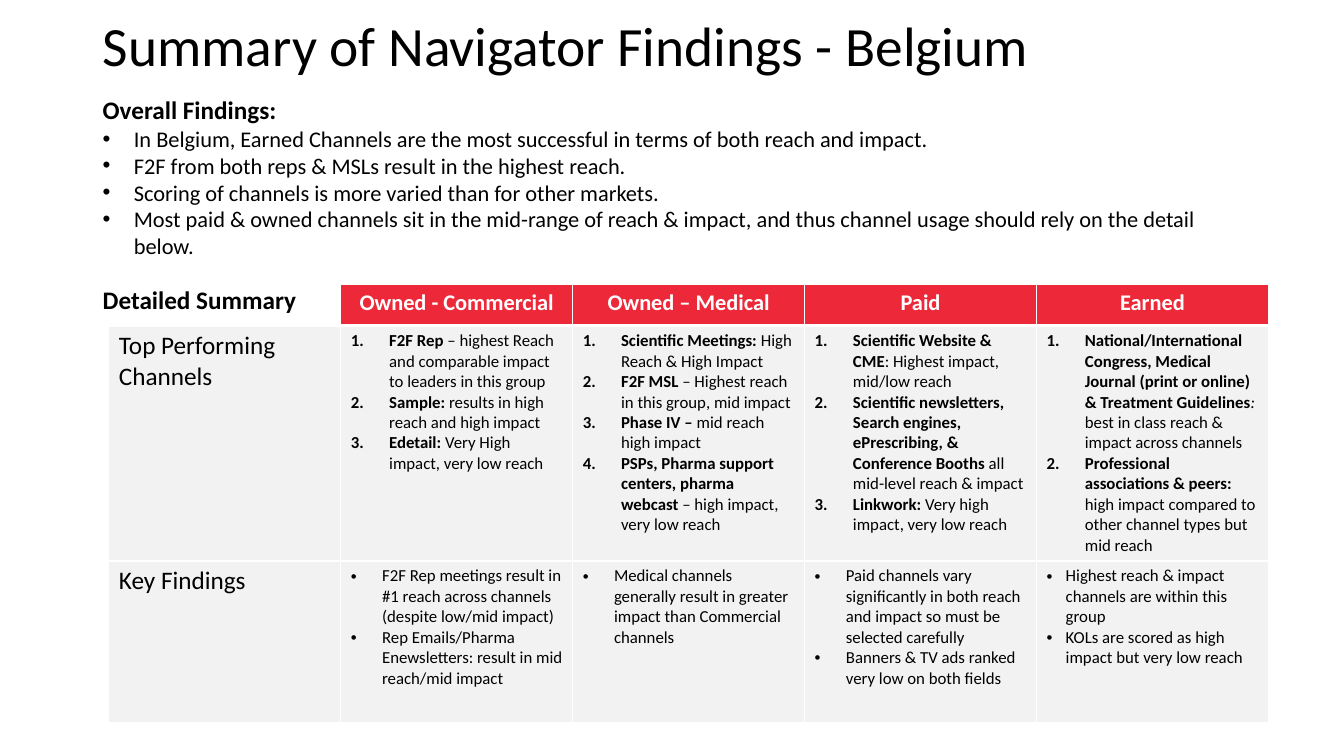
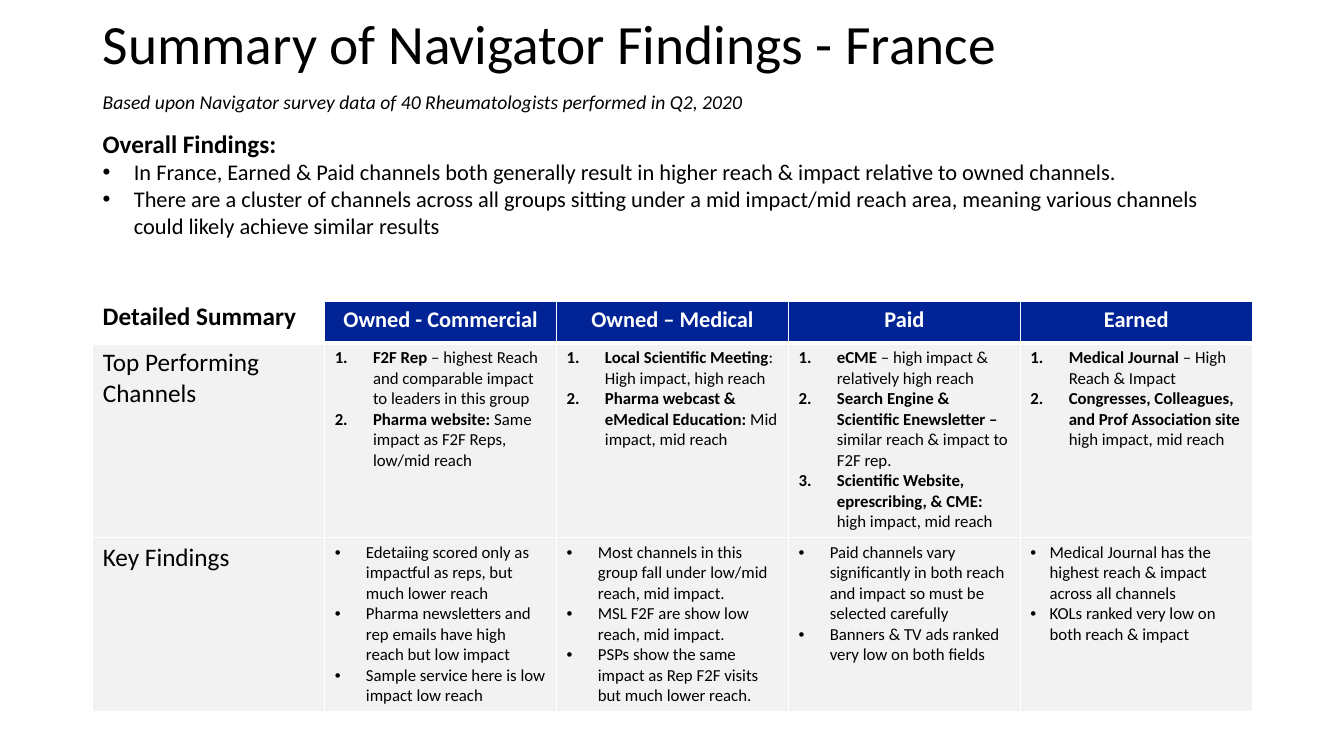
import pptx
import pptx.util
import pptx.dml.color
import pptx.enum.text
import pptx.oxml
import pptx.oxml.ns

Inches, Pt = pptx.util.Inches, pptx.util.Pt
RGBColor = pptx.dml.color.RGBColor
ALIGN = pptx.enum.text.PP_ALIGN
ANCHOR = pptx.enum.text.MSO_ANCHOR
AUTO_SIZE = pptx.enum.text.MSO_AUTO_SIZE

FONT = "Calibri"
BLACK = RGBColor(0x00, 0x00, 0x00)
WHITE = RGBColor(0xFF, 0xFF, 0xFF)
LIGHT_GREY = RGBColor(0xF2, 0xF2, 0xF2)
BELGIUM_RED = RGBColor(0xED, 0x29, 0x39)
FRANCE_BLUE = RGBColor(0x00, 0x23, 0x95)

LEFT, WIDTH = 0.92, 11.5
HEADER_HEIGHT = 0.41
NUMBER_INDENT, BULLET_INDENT = 0.38, 0.31
KEY_INDENTS = [BULLET_INDENT] * 3 + [0.19]
NUMBER = '<a:buAutoNum {} type="arabicPeriod"/>'
BULLET = '<a:buChar {} char="•"/>'
CHANNELS = ["Owned - Commercial", "Owned – Medical", "Paid", "Earned"]
PAID_FINDINGS = [
    "Paid channels vary significantly in both reach and impact so must be selected carefully",
    "Banners & TV ads ranked very low on both fields",
]

# Numbered items are (bold lead, optional italic, plain text).
BELGIUM = dict(
    title="Summary of Navigator Findings - Belgium", title_top=0.13,
    color=BELGIUM_RED, overall_top=0.89, overall_height=1.75,
    table_left=1.08, table_top=2.82, row_heights=[2.33, 1.6], label_top=2.77,
    overall=[
        "In Belgium, Earned Channels are the most successful in terms of both reach and impact.",
        "F2F from both reps & MSLs result in the highest reach.",
        "Scoring of channels is more varied than for other markets.",
        "Most paid & owned channels sit in the mid-range of reach & impact, and thus "
        "channel usage should rely on the detail below.",
    ],
    top=[
        [("F2F Rep", " – highest Reach and comparable impact to leaders in this group"),
         ("Sample:", " results in high reach and high impact"),
         ("Edetail: ", "Very High impact, very low reach")],
        [("Scientific Meetings: ", "High Reach & High Impact"),
         ("F2F MSL", " – Highest reach in this group, mid impact"),
         ("Phase IV – ", "mid reach high impact"),
         ("PSPs, Pharma support centers, pharma webcast", " – high impact, very low reach")],
        [("Scientific Website & CME", ": Highest impact, mid/low reach"),
         ("Scientific newsletters, Search engines, ePrescribing, & Conference Booths",
          " all mid-level reach & impact"),
         ("Linkwork:", " Very high impact, very low reach")],
        [("National/International Congress, Medical Journal (print or online) "
          "& Treatment Guidelines", ": ", "best in class reach & impact across channels"),
         ("Professional associations & peers:",
          " high impact compared to other channel types but mid reach")],
    ],
    key=[
        ["F2F Rep meetings result in #1 reach across channels (despite low/mid impact)",
         "Rep Emails/Pharma Enewsletters: result in mid reach/mid impact"],
        ["Medical channels generally result in greater impact than Commercial channels"],
        PAID_FINDINGS,
        ["Highest reach & impact channels are within this group",
         "KOLs are scored as high impact but very low reach"],
    ],
)

FRANCE = dict(
    title="Summary of Navigator Findings - France", title_top=0.11,
    color=FRANCE_BLUE, overall_top=1.22, overall_height=1.21,
    table_left=LEFT, table_top=2.99, row_heights=[1.93, 1.73], label_top=2.93,
    overall=[
        "In France, Earned & Paid channels both generally result in higher reach & impact "
        "relative to owned channels.",
        "There are a cluster of channels across all groups sitting under a mid impact/mid "
        "reach area, meaning various channels could likely achieve similar results",
    ],
    top=[
        [("F2F Rep", " – highest Reach and comparable impact to leaders in this group"),
         ("Pharma website: ", "Same impact as F2F Reps, low/mid reach")],
        [("Local Scientific Meeting", ": High impact, high reach"),
         ("Pharma webcast & eMedical Education:", " Mid impact, mid reach")],
        [("eCME", " – high impact & relatively high reach"),
         ("Search Engine & Scientific Enewsletter – ", "similar reach & impact to F2F rep."),
         ("Scientific Website, eprescribing, & CME:", " high impact, mid reach")],
        [("Medical Journal", " – High Reach & Impact"),
         ("Congresses, Colleagues, and Prof Association site", " high impact, mid reach")],
    ],
    key=[
        ["Edetaiing scored only as impactful as reps, but much lower reach",
         "Pharma newsletters and rep emails have high reach but low impact",
         "Sample service here is low impact low reach"],
        ["Most channels in this group fall under low/mid reach, mid impact.",
         "MSL F2F are show low reach, mid impact.",
         "PSPs show the same impact as Rep F2F visits but much lower reach."],
        PAID_FINDINGS,
        ["Medical Journal has the highest reach & impact across all channels",
         "KOLs ranked very low on both reach & impact"],
    ],
)


def add_text(p, text, size=12, color=BLACK, bold=False, italic=False):
    r = p.add_run()
    r.text = text
    r.font.name, r.font.size = FONT, Pt(size)
    r.font.bold, r.font.italic = bold, italic
    r.font.color.rgb = color


def next_paragraph(tf):
    """Return the first paragraph while it is empty, else a new one."""
    p = tf.paragraphs[0]
    return tf.add_paragraph() if p.runs else p


def add_list_paragraph(tf, marker, indent):
    p = next_paragraph(tf)
    pPr = p._p.get_or_add_pPr()
    pPr.set("marL", str(Inches(indent)))
    pPr.set("indent", str(-Inches(indent)))
    ns = pptx.oxml.ns.nsdecls("a")
    for xml in ('<a:buFont {} typeface="Arial"/>', marker):
        if xml is not marker or marker == BULLET:
            pPr.append(pptx.oxml.parse_xml(xml.format(ns)))
        if xml is marker and marker == NUMBER:
            pPr.replace(pPr[-1], pptx.oxml.parse_xml(xml.format(ns)))
    return p


def add_bullets(tf, items, indent=BULLET_INDENT, size=12):
    for item in items:
        add_text(add_list_paragraph(tf, BULLET, indent), item, size=size)


def add_numbers(tf, items):
    for lead, *middle, rest in items:
        p = add_list_paragraph(tf, NUMBER, NUMBER_INDENT)
        add_text(p, lead, bold=True)
        for text in middle:
            add_text(p, text, italic=True)
        add_text(p, rest)


def add_textbox(s, top, width, height):
    tf = s.shapes.add_textbox(Inches(LEFT), Inches(top), Inches(width), Inches(height)).text_frame
    tf.word_wrap = True
    tf.auto_size = AUTO_SIZE.SHAPE_TO_FIT_TEXT
    return tf


def set_title(s, text, top):
    title = s.shapes.title
    title.left, title.top = Inches(LEFT), Inches(top)
    title.width, title.height = Inches(WIDTH), Inches(0.71)
    tf = title.text_frame
    tf.word_wrap, tf.auto_size = True, AUTO_SIZE.NONE
    tf.vertical_anchor = ANCHOR.MIDDLE
    p = tf.paragraphs[0]
    p.alignment, p.line_spacing = ALIGN.LEFT, 0.9
    add_text(p, text, size=39.6)


def format_cell(cell, fill, bottom=1, top=1):
    """Fill the cell and give it white borders; bottom and top are in points."""
    cell.fill.solid()
    cell.fill.fore_color.rgb = fill
    tcPr = cell._tc.get_or_add_tcPr()
    for i, (side, width) in enumerate(dict(L=1, R=1, T=top, B=bottom).items()):
        tcPr.insert(i, pptx.oxml.parse_xml(
            f'<a:ln{side} {pptx.oxml.ns.nsdecls("a")} w="{Pt(width)}">'
            f'<a:solidFill><a:srgbClr val="{WHITE}"/></a:solidFill></a:ln{side}>'))


def add_channel_table(s, country):
    heights = [HEADER_HEIGHT] + country["row_heights"]
    table = s.shapes.add_table(
        len(heights), len(CHANNELS) + 1, Inches(country["table_left"]),
        Inches(country["table_top"]), Inches(WIDTH), Inches(sum(heights))).table
    for row, height in zip(table.rows, heights):
        row.height = Inches(height)
    for col in table.columns:
        col.width = Inches(WIDTH / len(table.columns))

    format_cell(table.cell(0, 0), WHITE, bottom=3)
    for row, label in enumerate(["Top Performing Channels", "Key Findings"], 1):
        for col in range(len(table.columns)):
            format_cell(table.cell(row, col), LIGHT_GREY, top=3 if row == 1 else 1)
        add_text(table.cell(row, 0).text_frame.paragraphs[0], label, size=18)

    columns = zip(CHANNELS, country["top"], country["key"], KEY_INDENTS)
    for col, (channel, top, key, indent) in enumerate(columns, 1):
        header = table.cell(0, col)
        format_cell(header, country["color"], bottom=3)
        p = header.text_frame.paragraphs[0]
        p.alignment = ALIGN.CENTER
        add_text(p, channel, size=16, color=WHITE, bold=True)
        add_numbers(table.cell(1, col).text_frame, top)
        add_bullets(table.cell(2, col).text_frame, key, indent)


def add_summary_slide(prs, country):
    s = prs.slides.add_slide(prs.slide_layouts[5])
    set_title(s, country["title"], country["title_top"])
    add_channel_table(s, country)
    label = add_textbox(s, country["label_top"], 4.49, 0.4)
    add_text(label.paragraphs[0], "Detailed Summary", size=18, bold=True)
    overall = add_textbox(s, country["overall_top"], WIDTH, country["overall_height"])
    add_text(overall.paragraphs[0], "Overall Findings:", size=18, bold=True)
    add_bullets(overall, country["overall"], size=16)
    return s


def main():
    prs = pptx.Presentation()
    prs.slide_width, prs.slide_height = Inches(13.33), Inches(7.5)
    add_summary_slide(prs, BELGIUM)
    s = add_summary_slide(prs, FRANCE)
    survey_note = add_textbox(s, 0.84, 8.93, 0.34)
    add_text(survey_note.paragraphs[0],
             "Based upon Navigator survey data of 40 Rheumatologists performed in Q2, 2020",
             size=14, italic=True)
    prs.save("out.pptx")


if __name__ == "__main__":
    main()
